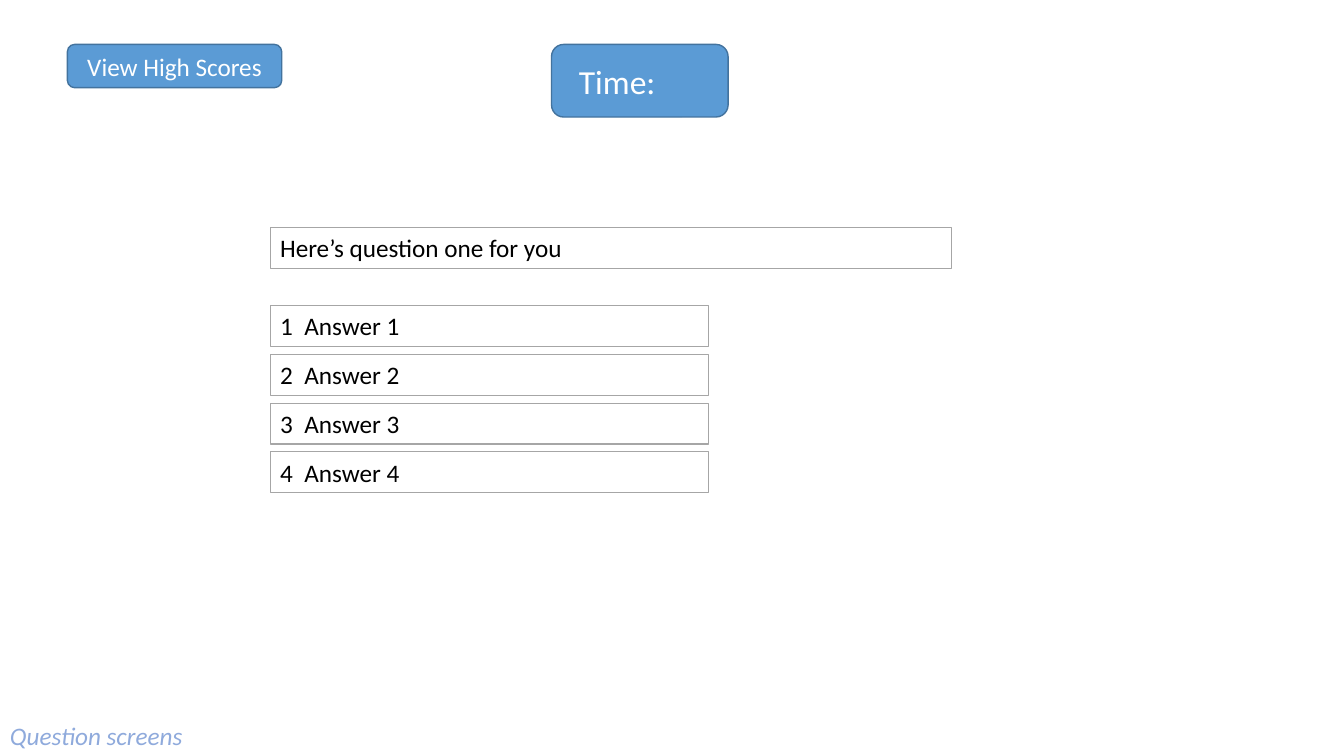
from pptx import Presentation
from pptx.dml.color import RGBColor
from pptx.enum.shapes import MSO_SHAPE as Shape
from pptx.enum.text import MSO_ANCHOR as Anchor, MSO_AUTO_SIZE as AutoSize, PP_ALIGN as Align
from pptx.util import Cm, Pt


def color(value):
    return RGBColor.from_string(value)


class QuizScreen:
    FONT = "Calibri"
    BLUE, BLUE_EDGE, GREY_EDGE = "5B9BD5", "43739E", "A6A6A6"
    WHITE, BLACK, LABEL_BLUE = "FFFFFF", "000000", "8FAADC"
    ROW_HEIGHT = 1.03

    def __init__(self, slide):
        self.slide = slide

    def set_text(self, shape, text, ink, size=18, align=Align.LEFT, italic=None):
        frame = shape.text_frame
        frame.word_wrap = True
        frame.text = text
        paragraph = frame.paragraphs[0]
        paragraph.alignment = align
        font = paragraph.runs[0].font
        font.name, font.size, font.italic = self.FONT, Pt(size), italic
        font.color.rgb = color(ink)
        return frame

    def button(self, text, left, top, width, height, size=18, align=Align.CENTER, inset=0):
        shape = self.slide.shapes.add_shape(
            Shape.ROUNDED_RECTANGLE, Cm(left), Cm(top), Cm(width), Cm(height))
        shape.shadow.inherit = False
        shape.fill.solid()
        shape.fill.fore_color.rgb = color(self.BLUE)
        shape.line.color.rgb = color(self.BLUE_EDGE)
        shape.line.width = Pt(1)
        frame = self.set_text(shape, text, self.WHITE, size, align)
        frame.vertical_anchor = Anchor.MIDDLE
        frame.margin_left = Cm(inset)
        frame.margin_right = frame.margin_top = frame.margin_bottom = 0

    def box(self, text, left, top, width, hanging=0):
        shape = self.slide.shapes.add_shape(
            Shape.RECTANGLE, Cm(left), Cm(top), Cm(width), Cm(self.ROW_HEIGHT))
        shape.shadow.inherit = False
        shape.fill.background()
        shape.line.color.rgb = color(self.GREY_EDGE)
        shape.line.width = Pt(0.75)
        frame = self.set_text(shape, text, self.BLACK)
        frame.vertical_anchor = Anchor.TOP
        frame.auto_size = AutoSize.SHAPE_TO_FIT_TEXT
        if hanging:
            properties = frame.paragraphs[0]._p.get_or_add_pPr()
            properties.set("marL", str(Cm(hanging)))
            properties.set("indent", str(-Cm(hanging)))

    def label(self, text, left, top, width):
        shape = self.slide.shapes.add_textbox(
            Cm(left), Cm(top), Cm(width), Cm(self.ROW_HEIGHT))
        frame = self.set_text(shape, text, self.LABEL_BLUE, italic=True)
        frame.auto_size = AutoSize.SHAPE_TO_FIT_TEXT


def main():
    presentation = Presentation()
    presentation.slide_width, presentation.slide_height = Cm(33.87), Cm(19.05)
    blank_layout = presentation.slide_layouts[6]
    screen = QuizScreen(presentation.slides.add_slide(blank_layout))

    # Top bar
    screen.button("View High Scores", 1.7, 1.12, 5.4, 1.09)
    screen.button("Time:", 13.9, 1.12, 4.45, 1.83, size=24, align=Align.LEFT, inset=0.6)

    # Question and its answers
    column_left, first_answer_top, answer_step = 6.81, 7.7, 1.23
    screen.box("Here’s question one for you", column_left, 5.74, 17.17)
    for number in range(1, 5):
        top = first_answer_top + (number - 1) * answer_step
        screen.box(f"{number}\tAnswer {number}", column_left, top, 11.05, hanging=0.61)

    # Screen name
    screen.label("Question screens", 0, 18.03, 6)

    presentation.save("out.pptx")


if __name__ == "__main__":
    main()
